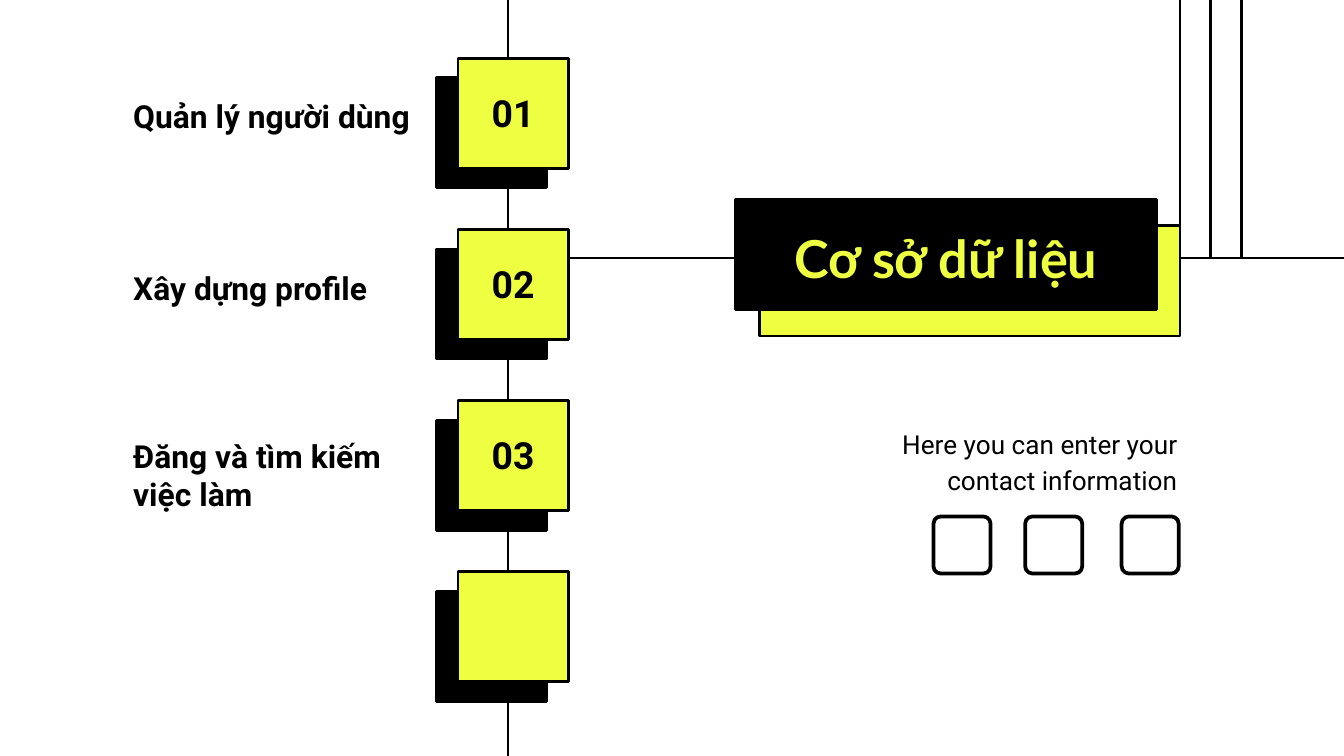
"""Build a slide with a numbered column, a title banner and a contact block."""
from dataclasses import dataclass

from lxml.etree import SubElement
from pptx import Presentation
from pptx.dml.color import RGBColor
from pptx.enum.shapes import MSO_CONNECTOR, MSO_SHAPE
from pptx.enum.text import MSO_ANCHOR, PP_ALIGN
from pptx.oxml.ns import qn
from pptx.shapes.autoshape import Shape
from pptx.slide import Slide
from pptx.util import Pt


@dataclass(frozen=True)
class Theme:
    black: RGBColor = RGBColor(0x00, 0x00, 0x00)
    yellow: RGBColor = RGBColor(0xEE, 0xFF, 0x41)
    heading_font: str = "Lato"
    body_font: str = "Roboto"
    title_size: float = 28
    number_size: float = 20
    label_size: float = 17
    contact_size: float = 14
    line_width: float = 1.5
    icon_line_width: float = 2


@dataclass(frozen=True)
class Box:
    left: float
    top: float
    width: float
    height: float


@dataclass(frozen=True)
class Item:
    number: str
    label: str
    label_top: float
    label_height: float


THEME = Theme()
SLIDE_WIDTH, SLIDE_HEIGHT = 720, 405
SPINE_X, RULE_Y = 272.2, 138.2
RIGHT_RULES_X = (632.2, 648.7, 665.3)
SQUARE_SIZE, SQUARE_LEFT, SQUARE_TOP, SQUARE_PITCH = 59, 245.4, 31.2, 91.7
SQUARE_SHADOW_X, SQUARE_SHADOW_Y = -11.6, 10.5
NUMBER_OFFSET, NUMBER_HEIGHT = 9.9, 38.8
LABEL_LEFT, LABEL_WIDTH = 64.3, 164
ICON_LEFTS, ICON_TOP, ICON_SIZE = (500.1, 549.2, 600.9), 276.7, 30.6
ITEMS = (
    Item("01", "Quản lý người dùng", 44.9, 35.3),
    Item("02", "Xây dựng profile", 136.8, 35.3),
    Item("03", "Đăng và tìm kiếm việc làm", 226.9, 55.4),
    Item("", "", 0, 0),
)


def add_line(slide: Slide, start_x: float, start_y: float, end_x: float, end_y: float) -> None:
    connector = slide.shapes.add_connector(
        MSO_CONNECTOR.STRAIGHT, Pt(start_x), Pt(start_y), Pt(end_x), Pt(end_y)
    )
    connector.line.color.rgb = THEME.black
    connector.line.width = Pt(THEME.line_width)
    SubElement(connector._element.spPr, qn("a:effectLst"))


def add_block(
    slide: Slide,
    box: Box,
    fill: RGBColor | None,
    kind: MSO_SHAPE = MSO_SHAPE.RECTANGLE,
    line_width: float = THEME.line_width,
) -> Shape:
    shape = slide.shapes.add_shape(
        kind, Pt(box.left), Pt(box.top), Pt(box.width), Pt(box.height)
    )
    shape.shadow.inherit = False
    if fill is None:
        shape.fill.background()
    else:
        shape.fill.solid()
        shape.fill.fore_color.rgb = fill
    shape.line.color.rgb = THEME.black
    shape.line.width = Pt(line_width)
    return shape


def add_text(
    slide: Slide,
    box: Box,
    text: str,
    *,
    size: float,
    font: str = THEME.body_font,
    color: RGBColor = THEME.black,
    bold: bool = True,
    align: PP_ALIGN = PP_ALIGN.LEFT,
    anchor: MSO_ANCHOR = MSO_ANCHOR.TOP,
    line_spacing: float = 1.0,
    space_after: float = 0,
) -> None:
    shape = slide.shapes.add_textbox(Pt(box.left), Pt(box.top), Pt(box.width), Pt(box.height))
    frame = shape.text_frame
    frame.word_wrap = True
    frame.vertical_anchor = anchor
    frame.margin_left = frame.margin_right = frame.margin_top = frame.margin_bottom = Pt(7.2)
    paragraph = frame.paragraphs[0]
    paragraph.alignment = align
    paragraph.line_spacing = line_spacing
    paragraph.space_after = Pt(space_after)
    run = paragraph.add_run()
    run.text = text
    run.font.name = font
    run.font.size = Pt(size)
    run.font.bold = bold
    run.font.color.rgb = color


def draw_rules(slide: Slide) -> None:
    add_line(slide, SPINE_X, SLIDE_HEIGHT, SPINE_X, 0)
    add_line(slide, SPINE_X, RULE_Y, SLIDE_WIDTH, RULE_Y)
    for rule_x in RIGHT_RULES_X:
        add_line(slide, rule_x, RULE_Y, rule_x, 0)


def draw_banner(slide: Slide) -> None:
    add_block(slide, Box(406.8, 121, 225.4, 59), THEME.yellow)
    add_block(slide, Box(394, 106.7, 225.4, 59), THEME.black)
    add_text(
        slide, Box(394, 113.8, 225.4, 45.4), "Cơ sở dữ liệu",
        size=THEME.title_size, font=THEME.heading_font, color=THEME.yellow,
        align=PP_ALIGN.CENTER,
    )


def draw_contact(slide: Slide) -> None:
    add_text(
        slide, Box(462.2, 193.7, 175.7, 79.2), "Here you can enter your contact information",
        size=THEME.contact_size, bold=False, align=PP_ALIGN.RIGHT,
        anchor=MSO_ANCHOR.BOTTOM, line_spacing=1.15, space_after=16,
    )
    for left in ICON_LEFTS:
        icon = add_block(
            slide, Box(left, ICON_TOP, ICON_SIZE, ICON_SIZE), None,
            MSO_SHAPE.ROUNDED_RECTANGLE, THEME.icon_line_width,
        )
        icon.adjustments[0] = 0.13


def draw_item(slide: Slide, item: Item, top: float) -> None:
    add_block(
        slide,
        Box(SQUARE_LEFT + SQUARE_SHADOW_X, top + SQUARE_SHADOW_Y, SQUARE_SIZE, SQUARE_SIZE),
        THEME.black,
    )
    add_block(slide, Box(SQUARE_LEFT, top, SQUARE_SIZE, SQUARE_SIZE), THEME.yellow)
    if item.number:
        add_text(
            slide, Box(SQUARE_LEFT, top + NUMBER_OFFSET, SQUARE_SIZE, NUMBER_HEIGHT),
            item.number, size=THEME.number_size, align=PP_ALIGN.CENTER,
        )
    if item.label:
        add_text(
            slide, Box(LABEL_LEFT, item.label_top, LABEL_WIDTH, item.label_height),
            item.label, size=THEME.label_size,
        )


def main() -> None:
    presentation = Presentation()
    presentation.slide_width = Pt(SLIDE_WIDTH)
    presentation.slide_height = Pt(SLIDE_HEIGHT)
    slide = presentation.slides.add_slide(presentation.slide_layouts[6])
    draw_rules(slide)
    draw_banner(slide)
    draw_contact(slide)
    for index, item in enumerate(ITEMS):
        draw_item(slide, item, SQUARE_TOP + index * SQUARE_PITCH)
    presentation.save("out.pptx")


if __name__ == "__main__":
    main()
